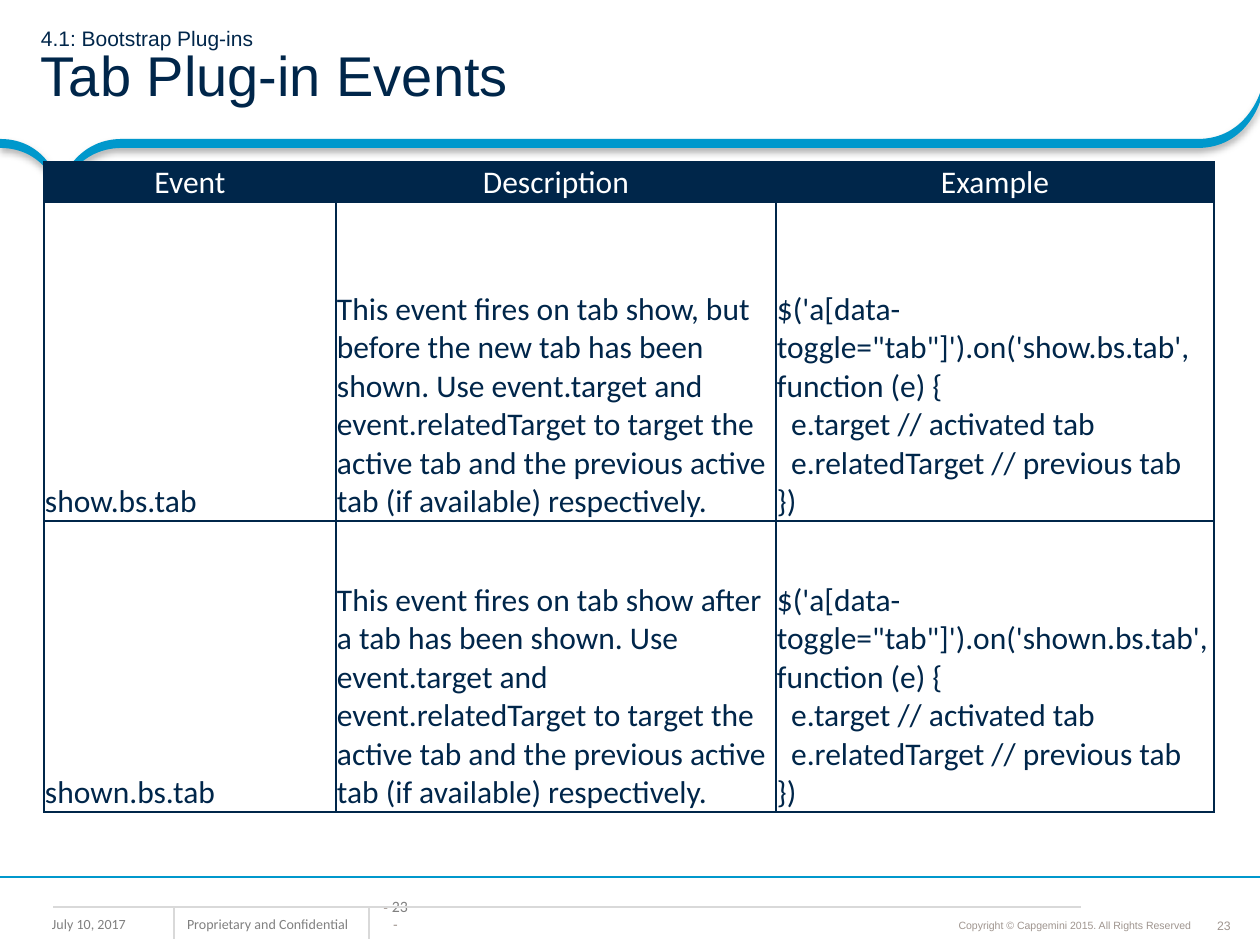
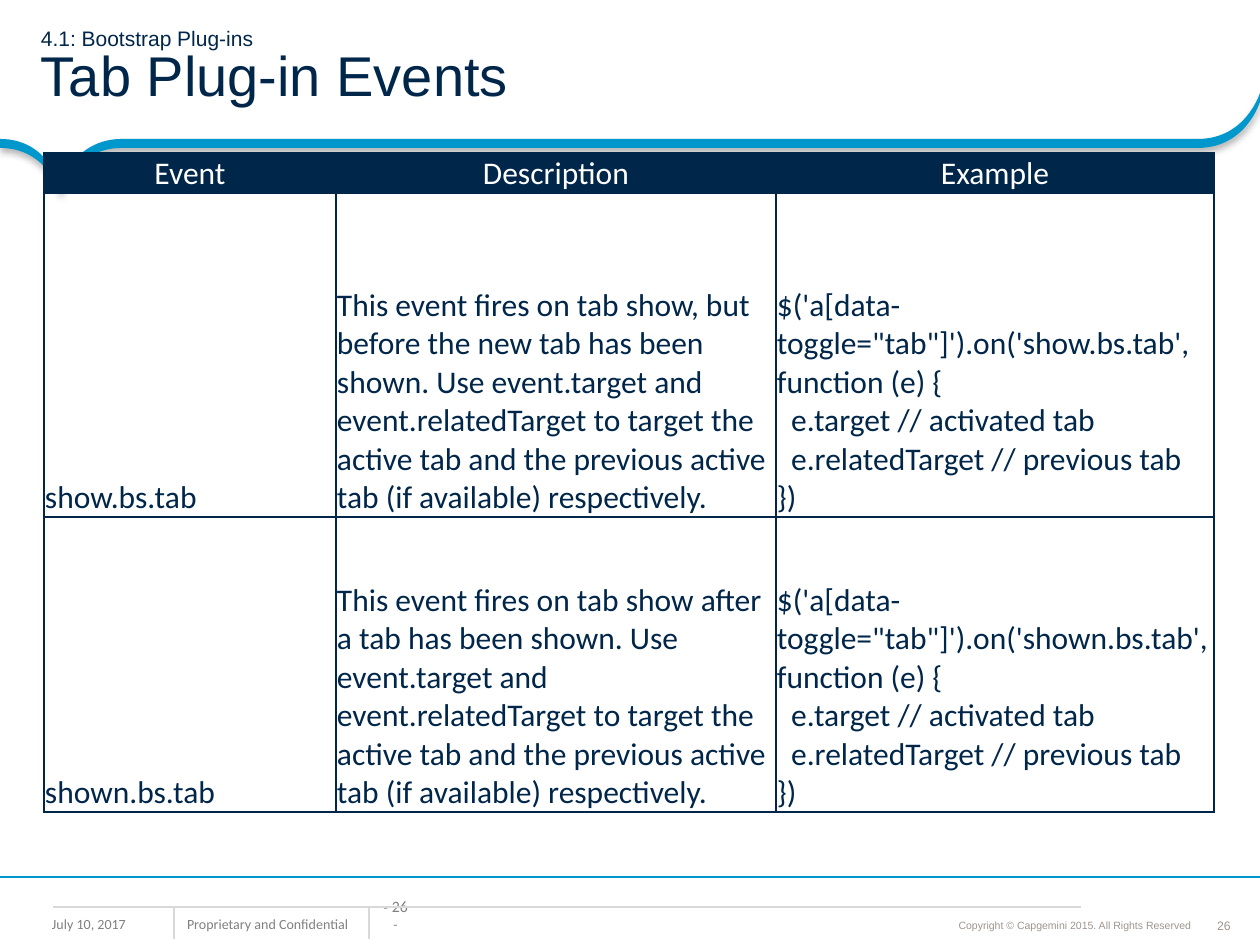
"""Build two slides on the events of the tab plug-in."""
import copy

import lxml.etree
import pptx
import pptx.dml.color
import pptx.enum.shapes
import pptx.enum.text
import pptx.oxml.ns
import pptx.util

COLORS = {"navy": "00264A", "blue": "0098CC", "white": "FFFFFF", "grey": "808080",
          "taupe": "9F958F", "rule": "D9D9D9", "shadow": "000000"}
TITLE = [("4.1: Bootstrap Plug-ins", {"size": 12}), ("\n", {}), ("Tab Plug-in Events", {"size": 32})]
HEADERS = ["Event", "Description", "Example"]
EVENTS = [
    ("show.bs.tab", "This event fires on tab show, but before the new tab has been shown."),
    ("shown.bs.tab", "This event fires on tab show after a tab has been shown."),
]
USAGE = ("Use event.target and event.relatedTarget to target the active tab "
         "and the previous active tab (if available) respectively.")
HANDLER = ["  e.target // activated tab", "  e.relatedTarget // previous tab", "})"]
SLIDES = [
    {"number": 23, "table_top": 162, "row_heights": (40, 319, 291)},
    {"number": 26, "table_top": 153, "row_heights": (40, 324, 295)},
]
TABLE_LEFT, COLUMN_WIDTHS = 44, (292, 440, 438)
WIDTH, HEIGHT = 1260, 945
SCALE = 914400 // 126
WAVE_TOP = 93
WAVE_START = (1198, 139)
WAVE_SEGMENTS = [
    [(122, 139)],
    [(74, 139), (60, 185), (60, 185)],
    [(60, 185), (48, 139), (0, 139)],
    [(0, 148)],
    [(48, 148), (60, 194), (60, 194)],
    [(60, 194), (74, 148), (122, 148)],
    [(1198, 148)],
    [(1246, 148), (1260, 102), (1260, 102)],
    [(1260, 93)],
    [(1260, 93), (1246, 139), (1198, 139)],
]
FOOTER_RULES = [
    (1260, 877, 0, 877, "blue"),
    (1081, 907, 53, 907, "rule"),
    (174, 907, 174, 939, "rule"),
    (369, 907, 369, 939, "rule"),
]
ALIGN = pptx.enum.text.PP_ALIGN
ANCHOR = pptx.enum.text.MSO_ANCHOR
qn = pptx.oxml.ns.qn


def px(length):
    return pptx.util.Emu(round(length * SCALE))


def rgb(name):
    return pptx.dml.color.RGBColor.from_string(COLORS[name])


def write(holder, paragraphs, size=18, color="navy", font="Calibri", align=ALIGN.LEFT,
          anchor=ANCHOR.TOP, margins=(13, 6, 13, 6), leading=None):
    """Fill a text frame or table cell; a paragraph is a string or a list of (text, format)."""
    frame = getattr(holder, "text_frame", holder)
    frame.word_wrap = True
    holder.vertical_anchor = anchor
    for side, margin in zip(("left", "top", "right", "bottom"), margins):
        setattr(holder, f"margin_{side}", px(margin))
    for index, runs in enumerate(paragraphs):
        line = frame.add_paragraph() if index else frame.paragraphs[0]
        line.alignment = align
        if leading:
            line.line_spacing = leading
        for text, changes in [(runs, {})] if isinstance(runs, str) else runs:
            if text == "\n":
                line.add_line_break()
                line._p[-1].append(copy.deepcopy(run.font._element))
                continue
            look = {"size": size, "color": color, "font": font, **changes}
            run = line.add_run()
            run.text = text
            run.font.size = pptx.util.Pt(look["size"])
            run.font.name = look["font"]
            run.font.color.rgb = rgb(look["color"])


def add_text(slide, box, paragraphs, **look):
    write(slide.shapes.add_textbox(*map(px, box)).text_frame, paragraphs, **look)


def add_color(parent, name):
    fill = lxml.etree.SubElement(parent, qn("a:solidFill"))
    return lxml.etree.SubElement(fill, qn("a:srgbClr"), val=COLORS[name])


def bend(wave):
    """Turn the straight segments that have control points into curves."""
    lines = list(wave._element.iter(qn("a:lnTo")))
    for line, points in zip(lines, WAVE_SEGMENTS):
        if len(points) == 1:
            continue
        curve = lxml.etree.Element(qn("a:cubicBezTo"))
        for x, y in points:
            lxml.etree.SubElement(curve, qn("a:pt"), x=str(x), y=str(y - WAVE_TOP))
        line.getparent().replace(line, curve)


def add_wave(slide):
    builder = slide.shapes.build_freeform(*WAVE_START, scale=SCALE)
    builder.add_line_segments([points[-1] for points in WAVE_SEGMENTS], close=True)
    wave = builder.convert_to_shape()
    bend(wave)
    wave.fill.solid()
    wave.fill.fore_color.rgb = rgb("blue")
    wave.line.fill.background()
    wave.shadow.inherit = False
    effects = wave._element.spPr.find(qn("a:effectLst"))
    shadow = lxml.etree.SubElement(effects, qn("a:outerShdw"), blurRad="50800",
                                   dist="25400", dir="5400000", rotWithShape="0")
    tint = lxml.etree.SubElement(shadow, qn("a:srgbClr"), val=COLORS["shadow"])
    lxml.etree.SubElement(tint, qn("a:alpha"), val="31000")


def add_footer(slide, number):
    plain = {"size": 8, "color": "grey"}
    small = {"font": "Arial", "color": "taupe"}
    flush = (0, 0, 0, 0)
    add_text(slide, (1212, 918, 24, 15), [str(number)], size=7, align=ALIGN.CENTER,
             anchor=ANCHOR.MIDDLE, margins=flush, **small)
    add_text(slide, (857, 912, 339, 25), ["Copyright © Capgemini 2015. All Rights Reserved"],
             size=6, align=ALIGN.RIGHT, anchor=ANCHOR.BOTTOM, margins=(5, 5, 5, 5),
             leading=0.9, **small)
    add_text(slide, (39, 910, 168, 32), ["July 10, 2017"], **plain)
    add_text(slide, (174, 910, 198, 30), ["Proprietary and Confidential"], **plain)
    page = [("- ", small), (f"{number} ", {"size": 9}), ("-", small)]
    add_text(slide, (379, 913, 33, 19), [page], align=ALIGN.CENTER, anchor=ANCHOR.BOTTOM,
             margins=(2, 0, 2, 0), **plain)
    for *ends, color in FOOTER_RULES:
        rule = slide.shapes.add_connector(pptx.enum.shapes.MSO_CONNECTOR.STRAIGHT, *map(px, ends))
        rule.line.color.rgb = rgb(color)
        rule.line.width = pptx.util.Pt(0.75)
        lxml.etree.SubElement(rule._element.spPr, qn("a:effectLst"))


def add_borders(cell):
    properties = cell._tc.get_or_add_tcPr()
    for side in "LRTB":
        border = lxml.etree.SubElement(properties, qn(f"a:ln{side}"), w="12700")
        add_color(border, "navy")


def add_events(slide, top, row_heights):
    rows = [[[header] for header in HEADERS]]
    for event, moment in EVENTS:
        call = f"$('a[data-toggle=\"tab\"]').on('{event}', function (e) {{"
        rows.append([[event], [f"{moment} {USAGE}"], [call, *HANDLER]])
    box = (TABLE_LEFT, top, sum(COLUMN_WIDTHS), sum(row_heights))
    events = slide.shapes.add_table(len(rows), len(HEADERS), *map(px, box)).table
    events.first_row = events.horz_banding = False
    for column, width in zip(events.columns, COLUMN_WIDTHS):
        column.width = px(width)
    for r, (contents, height) in enumerate(zip(rows, row_heights)):
        events.rows[r].height = px(height)
        for c, paragraphs in enumerate(contents):
            cell = events.cell(r, c)
            add_borders(cell)
            if r == 0:
                cell.fill.solid()
                cell.fill.fore_color.rgb = rgb("navy")
                look = {"color": "white", "align": ALIGN.CENTER, "anchor": ANCHOR.MIDDLE}
            else:
                cell.fill.background()
                look = {"anchor": ANCHOR.BOTTOM}
            write(cell, paragraphs, margins=(1, 1, 1, 0), **look)


def main():
    deck = pptx.Presentation()
    deck.slide_width, deck.slide_height = px(WIDTH), px(HEIGHT)
    for page in SLIDES:
        slide = deck.slides.add_slide(deck.slide_layouts[6])
        add_wave(slide)
        add_footer(slide, page["number"])
        add_text(slide, (0, 0, WIDTH, 138), [TITLE], font="Arial", anchor=ANCHOR.MIDDLE,
                 margins=(41, 5, 23, 5), leading=0.85)
        add_events(slide, page["table_top"], page["row_heights"])
    deck.save("out.pptx")


if __name__ == "__main__":
    main()
